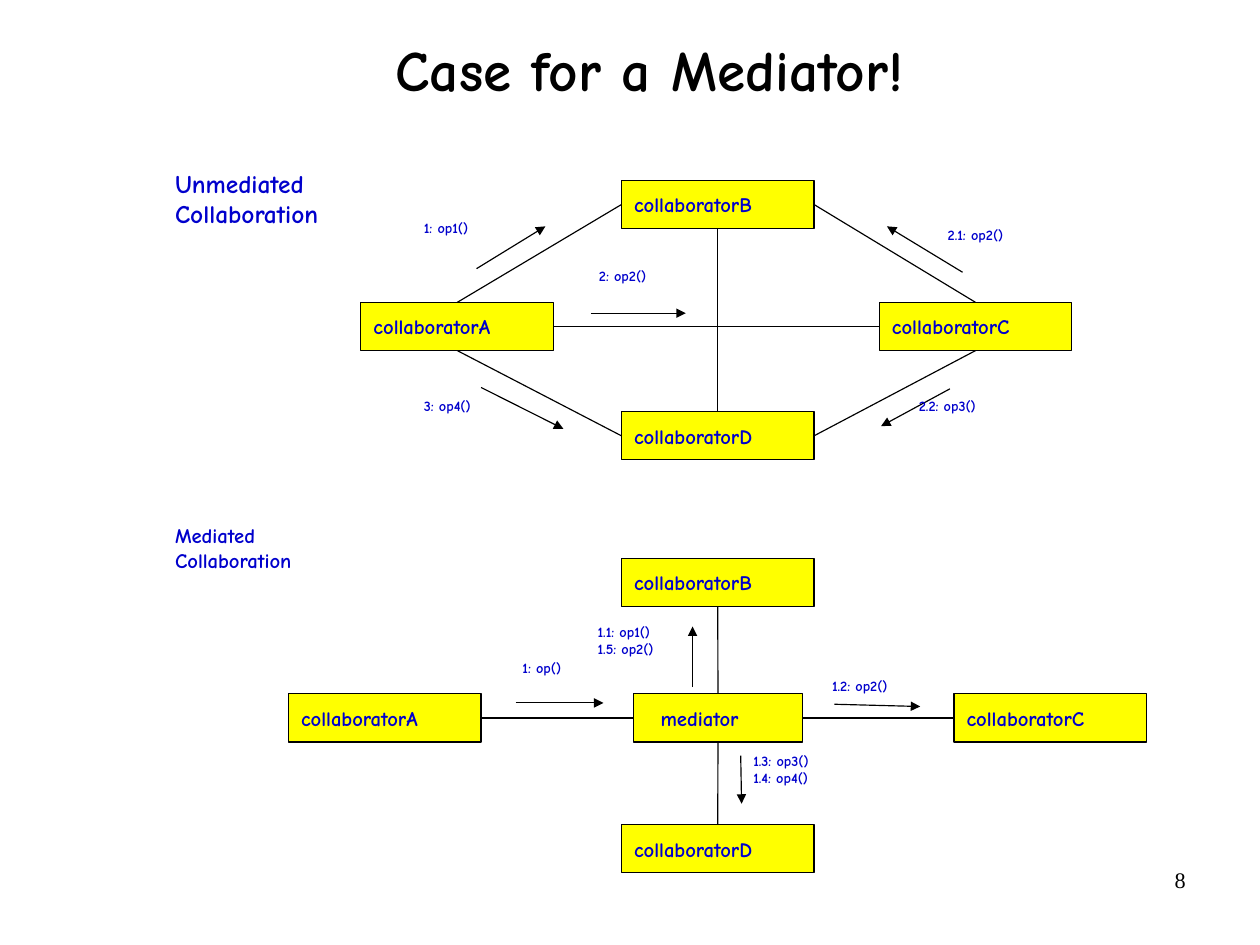
from lxml import etree
from pptx import Presentation
from pptx.dml.color import RGBColor
from pptx.enum.shapes import MSO_CONNECTOR, MSO_SHAPE
from pptx.enum.text import MSO_ANCHOR, PP_ALIGN
from pptx.oxml.ns import qn
from pptx.util import Cm, Pt

BLACK = RGBColor(0, 0, 0)
BLUE = RGBColor(0, 0, 0xCC)
YELLOW = RGBColor(0xFF, 0xFF, 0)
STRAIGHT = MSO_CONNECTOR.STRAIGHT
RECT = MSO_SHAPE.RECTANGLE
TOP, MIDDLE = MSO_ANCHOR.TOP, MSO_ANCHOR.MIDDLE
LEFT, CENTER, RIGHT = PP_ALIGN.LEFT, PP_ALIGN.CENTER, PP_ALIGN.RIGHT
FONT = "Comic Neue"
PAD = 0.28

deck = Presentation()
deck.slide_width, deck.slide_height = Cm(28), Cm(21)
shapes = deck.slides.add_slide(deck.slide_layouts[6]).shapes


def write(shape, text, size, color=BLUE, align=LEFT, anchor=TOP, pad=PAD):
    frame = shape.text_frame
    frame.word_wrap = True
    frame.vertical_anchor = anchor
    frame.margin_left = frame.margin_right = Cm(pad)
    frame.margin_top = frame.margin_bottom = Cm(pad)
    frame.text = text
    for para in frame.paragraphs:
        para.alignment = align
        para.font.name = FONT
        para.font.size = Pt(size)
        para.font.bold = True
        para.font.color.rgb = color
    return frame


def draw_line(x1=0, y1=0, x2=0, y2=0):
    line = shapes.add_connector(STRAIGHT, Cm(x1), Cm(y1), Cm(x2), Cm(y2))
    line.line.color.rgb = BLACK
    line.line.width = Pt(0.75)
    etree.SubElement(line._element.spPr, qn("a:effectLst"))
    return line


# Title and headings
title = shapes.add_textbox(Cm(2.49), Cm(-0.1), Cm(23.88), Cm(3.48))
frame = write(title, "Case for a Mediator!", 36, BLACK, CENTER, MIDDLE, 0)
frame.paragraphs[0].line_spacing = 0.88

for y, text, size in [
    (3.45, "Unmediated\nCollaboration", 16),
    (11.35, "Mediated\nCollaboration", 13),
]:
    write(shapes.add_textbox(Cm(3.61), Cm(y), Cm(4.93), Cm(1.9)), text, size)

# Boxes, keyed by diagram number and letter
boxes = {}
for key, name, x, y, width in [
    ("1A", "collaboratorA", 8.02, 6.72, 4.28),
    ("1C", "collaboratorC", 19.54, 6.72, 4.28),
    ("1B", "collaboratorB", 13.81, 4.01, 4.28),
    ("1D", "collaboratorD", 13.81, 9.15, 4.28),
    ("2A", "collaboratorA", 6.41, 15.42, 4.28),
    ("2C", "collaboratorC", 21.2, 15.42, 4.28),
    ("2B", "collaboratorB", 13.81, 12.41, 4.28),
    ("2D", "collaboratorD", 13.81, 18.33, 4.28),
    ("2M", "mediator", 14.07, 15.42, 3.77),
]:
    box = shapes.add_shape(RECT, Cm(x), Cm(y), Cm(width), Cm(1.07))
    box.shadow.inherit = False
    box.fill.solid()
    box.fill.fore_color.rgb = YELLOW
    box.line.color.rgb = BLACK
    box.line.width = Pt(0.75)
    write(box, name, 13, anchor=MIDDLE)
    boxes[key] = box
boxes["2M"].text_frame.margin_left = Cm(0.61)

# Links; sides are 0 top, 1 left, 2 bottom, 3 right
for start, side, end, other in [
    ("1A", 0, "1B", 1),
    ("1A", 2, "1D", 1),
    ("1D", 3, "1C", 2),
    ("1B", 3, "1C", 0),
    ("1A", 3, "1C", 1),
    ("1B", 2, "1D", 0),
    ("2A", 3, "2M", 1),
    ("2M", 3, "2C", 1),
    ("2B", 2, "2M", 0),
    ("2M", 2, "2D", 0),
]:
    link = draw_line()
    link.begin_connect(boxes[start], side)
    link.end_connect(boxes[end], other)

# Calls: label, its corner, then both ends of its arrow
for text, x, y, ends in [
    ("1: op1()", 9.14, 4.67, (10.59, 5.97, 12.12, 5.03)),
    ("2.1: op2()", 20.78, 4.83, (21.39, 6.05, 19.71, 5.03)),
    ("3: op4()", 9.14, 8.64, (10.69, 8.61, 12.52, 9.53)),
    ("2.2: op3()", 20.14, 8.64, (21.11, 8.64, 19.58, 9.47)),
    ("2: op2()", 13.03, 5.74, (13.13, 6.96, 15.24, 6.96)),
    ("1: op()", 11.33, 14.45, (11.46, 15.62, 13.41, 15.62)),
    ("1.1: op1()\n1.5: op2()", 13, 13.56, (15.39, 15.27, 15.39, 13.92)),
    ("1.3: op3()\n1.4: op4()", 16.46, 16.43, (16.46, 16.79, 16.48, 17.86)),
    ("1.2: op2()", 18.21, 14.86, (18.54, 15.65, 20.45, 15.7)),
]:
    arrow = draw_line(*ends)
    stroke = arrow.line._get_or_add_ln()
    etree.SubElement(stroke, qn("a:tailEnd"), type="triangle")
    write(shapes.add_textbox(Cm(x), Cm(y), Cm(2.64), Cm(0.84)), text, 9)

# Page number
page = shapes.add_textbox(Cm(20.07), Cm(19.13), Cm(6.53), Cm(1.45))
frame = write(page, "8", 14, BLACK, RIGHT, pad=0.25)
frame.margin_top = Cm(0.13)
number = frame.paragraphs[0].font
number.name, number.bold = "Times New Roman", False

deck.save("out.pptx")
